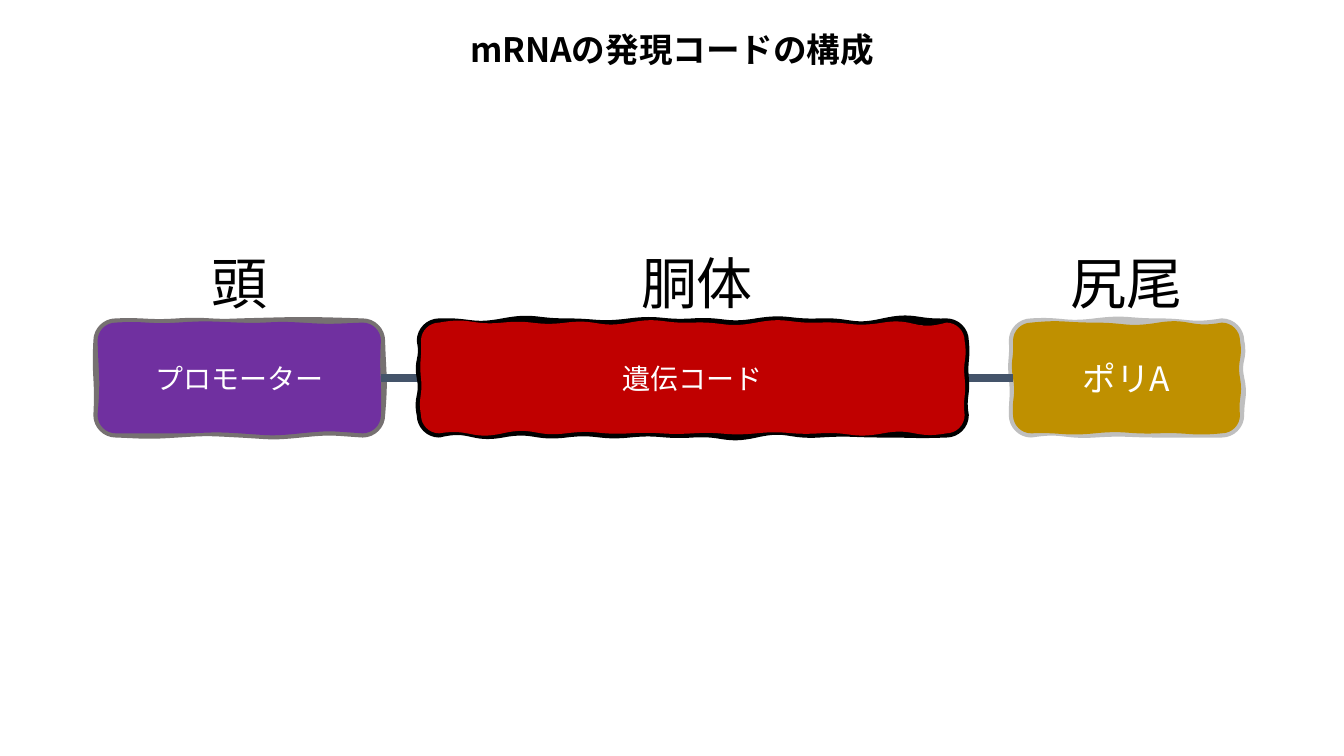
import copy

import pptx
import pptx.dml.color
import pptx.enum.shapes
import pptx.enum.text
import pptx.oxml
import pptx.oxml.ns
import pptx.util
from pptx.util import Cm

FONT = "Noto Sans CJK JP"
COLORS = {
    "black": "000000", "white": "FFFFFF", "purple": "7030A0", "gray": "767171",
    "red": "C00000", "gold": "BF9000", "silver": "BFBFBF", "slate": "44546A",
}
CORNER = 0.46  # corner radius in cm
BOX_TOP, BOX_HEIGHT = 8.13, 2.79
LABEL_TOP, LABEL_WIDTH, LABEL_HEIGHT = 6.15, 3.33, 1.96

# Each outline lists the bends (cm) at evenly spaced knots: top, right, bottom, left.
# None leaves a knot out.
PARTS = {
    "head": {
        "label": "頭", "label_left": 4.37, "text": "プロモーター", "size": 20,
        "fill": "purple", "line": "gray", "left": 2.46, "width": 7.14,
        "border": [[-.03, -.05, -.04, None, .05], [.03, -.08],
                   [-.05, .08, -.04, .05, -.03], [.05, .05]],
        "face": [[-.05, -.05, .03, .05, -.03], [-.05, -.03],
                 [-.05, .08, -.05, 0, 0], [.08, -.03]],
    },
    "tail": {
        "label": "尻尾", "label_left": 26.72, "text": "ポリA", "size": 24,
        "fill": "gold", "line": "silver", "left": 25.53, "width": 5.72,
        "border": [[-.05, -.1, 0, -.13], [.1, .1, 0],
                   [0, 0, .05, .13], [0, -.05, -.03]],
        "face": [[-.08, 0, -.13, -.15], [.08, .08, .05],
                 [.08, .03, .08, .03], [-.03, -.08, -.03]],
    },
    "body": {
        "label": "胴体", "label_left": 15.9, "text": "遺伝コード", "size": 20,
        "fill": "red", "line": "black", "left": 10.61, "width": 13.7,
        "border": [[-.03, -.15, 0, -.1, -.05, -.13, -.03, -.18, -.03], [.05, .04, .08],
                   [.03, 0, .05, .18, .05, .08, .1, .15, .2], [-.1, -.09, -.1]],
        "face": [[-.15, -.08, -.1, -.15, -.03, -.15, -.03, -.13, -.23], [.08, .05, .05],
                 [.15, .15, .05, .08, .05, .05, .1, .18, .13], [-.08, -.05, -.03]],
    },
}


def color(name):
    return pptx.dml.color.RGBColor.from_string(COLORS[name])


def write(shape, text, size, color_name, bold=False, anchor="MIDDLE", spacing=None):
    frame = shape.text_frame
    frame.word_wrap = True
    frame.vertical_anchor = getattr(pptx.enum.text.MSO_ANCHOR, anchor)
    paragraph = frame.paragraphs[0]
    paragraph.alignment = pptx.enum.text.PP_ALIGN.CENTER
    run = paragraph.add_run()
    run.text = text
    formats = {"size": pptx.util.Pt(size), "bold": bold, "name": FONT}
    for key, value in formats.items():
        setattr(run.font, key, value)
    run.font.color.rgb = color(color_name)
    properties = run.font._element
    east_asian = pptx.oxml.parse_xml(
        f'<a:ea {pptx.oxml.ns.nsdecls("a")} typeface="{FONT}"/>')
    properties.find(pptx.oxml.ns.qn("a:latin")).addnext(east_asian)
    if spacing is not None:
        properties.set("spc", str(spacing))


def add_text(slide, left, top, width, height, **text):
    shape = slide.shapes.add_textbox(Cm(left), Cm(top), Cm(width), Cm(height))
    write(shape, **text)
    return shape


def wavy_outline(left, top, width, height, edges):
    """Start point, then three points per curve, of a box with swaying edges."""
    right, bottom = left + width, top + height
    corners = [(left, top), (right, top), (right, bottom), (left, bottom)]
    directions = [(1, 0), (0, 1), (-1, 0), (0, -1)]
    pull = CORNER * 0.45
    points = [(left + CORNER, top)]
    for side, bends in enumerate(edges):
        (x, y), (dx, dy) = corners[side], directions[side]
        length = (width if dx else height) - 2 * CORNER

        def place(distance, sway=0):
            return (x + dx * distance + abs(dy) * sway,
                    y + dy * distance + abs(dx) * sway)

        knots = [(CORNER + length * index / (len(bends) - 1), bend)
                 for index, bend in enumerate(bends) if bend is not None]
        for (start, bend), (end, next_bend) in zip(knots, knots[1:]):
            middle = (start + end) / 2
            points += [place(middle, bend), place(middle, -next_bend), place(end)]
        # Turn the corner into the next side
        next_x, next_y = corners[(side + 1) % 4]
        next_dx, next_dy = directions[(side + 1) % 4]
        points += [(next_x - dx * pull, next_y - dy * pull),
                   (next_x + next_dx * pull, next_y + next_dy * pull),
                   (next_x + next_dx * CORNER, next_y + next_dy * CORNER)]
    return [(Cm(px), Cm(py)) for px, py in points]


def bend_lines(contour):
    """Join each three line points of a contour into one curve."""
    qn = pptx.oxml.ns.qn
    lines = contour.findall(qn("a:lnTo"))
    for first, second, third in zip(lines[::3], lines[1::3], lines[2::3]):
        bezier = pptx.oxml.parse_xml(
            f'<a:cubicBezTo {pptx.oxml.ns.nsdecls("a")}/>')
        first.addprevious(bezier)
        for line in (first, second, third):
            bezier.append(line[0])
            contour.remove(line)


def fit_to_box(shape, contours, left, top, width, height):
    """Measure the contours from the plain box, which the waves overstep."""
    shift_x, shift_y = shape.left - left, shape.top - top
    for contour in contours:
        contour.set("w", str(width))
        contour.set("h", str(height))
        for point in contour.iter(pptx.oxml.ns.qn("a:pt")):
            point.set("x", str(int(point.get("x")) + shift_x))
            point.set("y", str(int(point.get("y")) + shift_y))
    frame = {"left": left, "top": top, "width": width, "height": height}
    for key, value in frame.items():
        setattr(shape, key, value)


def add_part(slide, part):
    """Wavy box: a border, with a face drawn over its inner half."""
    box = (part["left"], BOX_TOP, part["width"], BOX_HEIGHT)
    border = wavy_outline(*box, part["border"])
    face = wavy_outline(*box, part["face"])
    builder = slide.shapes.build_freeform(*border[0])
    builder.add_line_segments(border[1:], close=True)
    builder.move_to(*face[0])
    builder.add_line_segments(face[1:], close=True)
    shape = builder.convert_to_shape()

    # Split the two contours: the first is only stroked, the second only filled
    qn = pptx.oxml.ns.qn
    border_contour = next(shape._element.iter(qn("a:path")))
    face_contour = copy.deepcopy(border_contour)
    border_contour.addnext(face_contour)
    split = border_contour.index(border_contour.findall(qn("a:moveTo"))[1])
    for element in list(border_contour)[split:]:
        border_contour.remove(element)
    for element in list(face_contour)[:split]:
        face_contour.remove(element)
    border_contour.set("fill", "none")
    face_contour.set("stroke", "0")
    contours = (border_contour, face_contour)
    for contour in contours:
        bend_lines(contour)
    fit_to_box(shape, contours, *(Cm(length) for length in box))

    shape.shadow.inherit = False
    shape.fill.solid()
    shape.fill.fore_color.rgb = color(part["fill"])
    shape.line.color.rgb = color(part["line"])
    shape.line.width = pptx.util.Pt(6)
    write(shape, part["text"], part["size"], "white")


def add_strand(slide, start, end):
    y = Cm(BOX_TOP + BOX_HEIGHT / 2)
    strand = slide.shapes.add_connector(
        pptx.enum.shapes.MSO_CONNECTOR.STRAIGHT, Cm(start), y, Cm(end), y)
    strand.line.color.rgb = color("slate")
    strand.line.width = pptx.util.Pt(6)
    strand._element.spPr.append(pptx.oxml.parse_xml(
        f'<a:effectLst {pptx.oxml.ns.nsdecls("a")}/>'))


def add_title(slide, left, top, width, height):
    title = add_text(slide, left, top, width, height, text="mRNAの発現コードの構成",
                     size=24, color_name="black", bold=True, spacing=-5)
    for side in ("left", "top", "right", "bottom"):
        setattr(title.text_frame, f"margin_{side}", 0)


def main():
    presentation = pptx.Presentation()
    presentation.slide_width, presentation.slide_height = Cm(33.87), Cm(19.05)
    slide = presentation.slides.add_slide(presentation.slide_layouts[6])
    add_title(slide, 0, 0.69, 33.87, 1.07)

    # The strand runs behind the body, from head to tail
    head, tail, body = PARTS["head"], PARTS["tail"], PARTS["body"]
    add_part(slide, head)
    add_part(slide, tail)
    add_strand(slide, head["left"] + head["width"], tail["left"])
    add_part(slide, body)
    for part in (head, body, tail):
        add_text(slide, part["label_left"], LABEL_TOP, LABEL_WIDTH, LABEL_HEIGHT,
                 text=part["label"], size=40, color_name="black", anchor="TOP")
    presentation.save("out.pptx")


if __name__ == "__main__":
    main()
